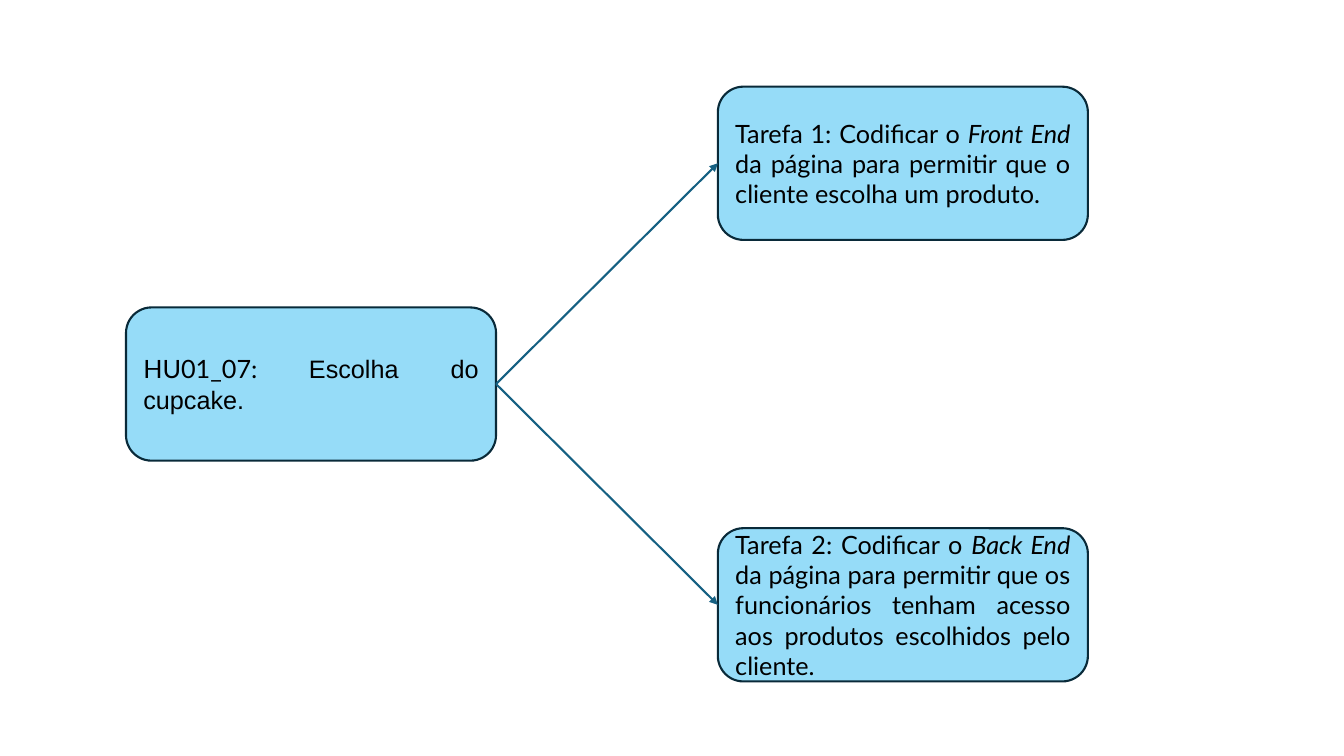
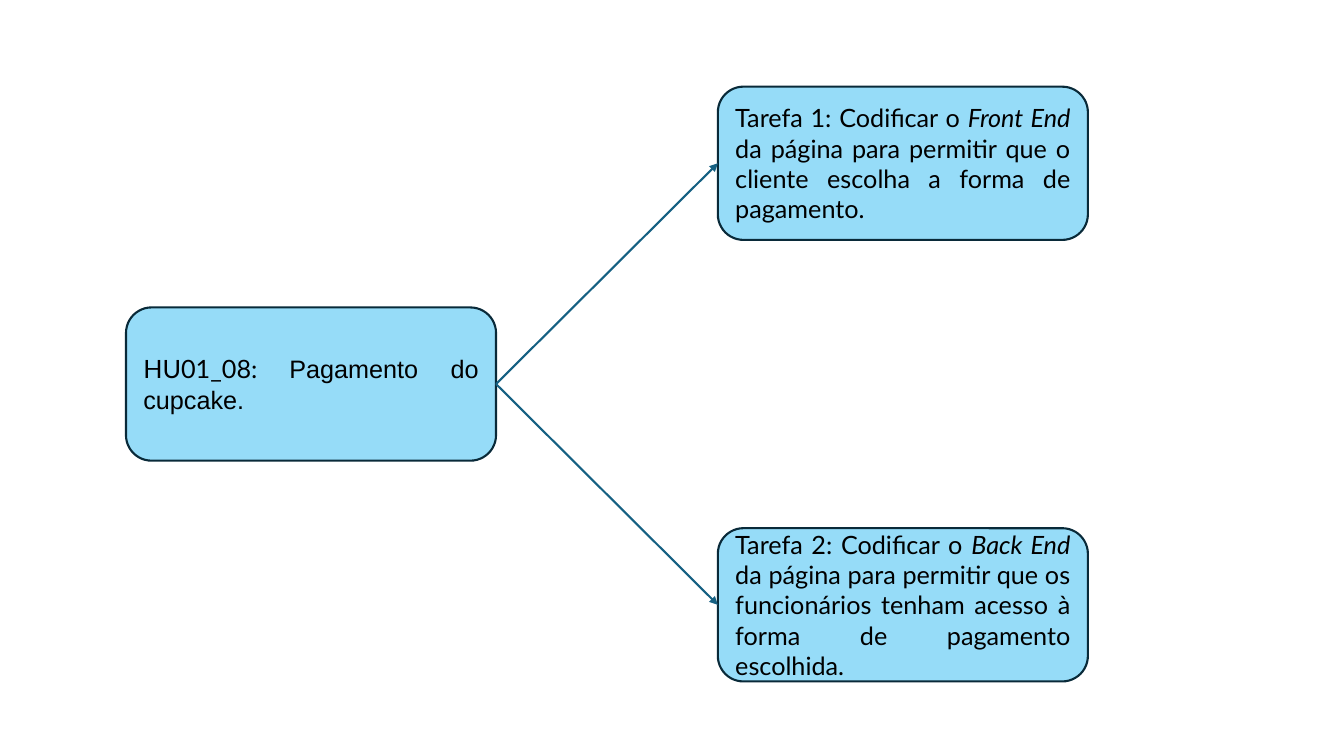
"""Build two slides that split a user story into its development tasks."""
from lxml import etree
from pptx import Presentation
from pptx.dml.color import RGBColor
from pptx.enum.shapes import MSO_CONNECTOR, MSO_SHAPE
from pptx.enum.text import MSO_ANCHOR, PP_ALIGN
from pptx.oxml.ns import qn
from pptx.util import Emu, Pt

ROUNDED = MSO_SHAPE.ROUNDED_RECTANGLE
STRAIGHT = MSO_CONNECTOR.STRAIGHT
MIDDLE = MSO_ANCHOR.MIDDLE
JUSTIFY = PP_ALIGN.JUSTIFY
LEFT_SIDE, RIGHT_SIDE = 1, 3

STORIES = [
    {
        "code": "HU01_07: ",
        "title": "Escolha do cupcake.",
        "tasks": [
            ("Tarefa 1: Codificar o ", "Front End ",
             "da página para permitir que o cliente escolha um produto."),
            ("Tarefa 2: Codificar o ", "Back End ",
             "da página para permitir que os funcionários tenham acesso "
             "aos produtos escolhidos pelo cliente."),
        ],
    },
    {
        "code": "HU01_08: ",
        "title": "Pagamento do cupcake.",
        "tasks": [
            ("Tarefa 1: Codificar o ", "Front End ",
             "da página para permitir que o cliente escolha a forma de pagamento."),
            ("Tarefa 2: Codificar o ", "Back End ",
             "da página para permitir que os funcionários tenham acesso "
             "à forma de pagamento escolhida."),
        ],
    },
]

FILL, BORDER, ARROW, TEXT = "96DCF8", "092A39", "156082", "000000"
MAIN_FONT, TITLE_FONT = "Lato", "Arial"
SLIDE_W, SLIDE_H = 1333, 750
BOX_W, BOX_H = 367, 152
STORY_X, STORY_Y = 125, 305
TASK_X, TASK_Y, TASK_STEP = 712, 86, 438


def px(n):
    return Emu(n * 9144)


def color(code):
    return RGBColor.from_string(code)


def add_box(s, x, y, runs):
    sp = s.shapes.add_shape(ROUNDED, px(x), px(y), px(BOX_W), px(BOX_H))
    sp.shadow.inherit = False
    sp.fill.solid()
    sp.fill.fore_color.rgb = color(FILL)
    sp.line.color.rgb = color(BORDER)
    sp.line.width = Pt(1.5)
    tf = sp.text_frame
    tf.word_wrap = True
    tf.vertical_anchor = MIDDLE
    p = tf.paragraphs[0]
    p.alignment = JUSTIFY
    p.font.size = Pt(18)
    p.font.color.rgb = color(TEXT)
    for text, font, italic in runs:
        r = p.add_run()
        r.text = text
        r.font.name = font
        r.font.italic = italic
    return sp


def add_arrow(s, start, end):
    cn = s.shapes.add_connector(STRAIGHT, 0, 0, 0, 0)
    cn.begin_connect(start, RIGHT_SIDE)
    cn.end_connect(end, LEFT_SIDE)
    cn.line.color.rgb = color(ARROW)
    cn.line.width = Pt(1.5)
    etree.SubElement(cn.line._get_or_add_ln(), qn("a:tailEnd"), type="triangle")
    etree.SubElement(cn._element.spPr, qn("a:effectLst"))


def add_story(prs, story):
    s = prs.slides.add_slide(prs.slide_layouts[6])
    story_box = add_box(s, STORY_X, STORY_Y, [
        (story["code"], MAIN_FONT, False),
        (story["title"], TITLE_FONT, False),
    ])
    for i, (intro, layer, goal) in enumerate(story["tasks"]):
        task_box = add_box(s, TASK_X, TASK_Y + i * TASK_STEP, [
            (intro, MAIN_FONT, False),
            (layer, MAIN_FONT, True),
            (goal, MAIN_FONT, False),
        ])
        add_arrow(s, story_box, task_box)


def main():
    prs = Presentation()
    prs.slide_width, prs.slide_height = px(SLIDE_W), px(SLIDE_H)
    for story in STORIES:
        add_story(prs, story)
    prs.save("out.pptx")


if __name__ == "__main__":
    main()
